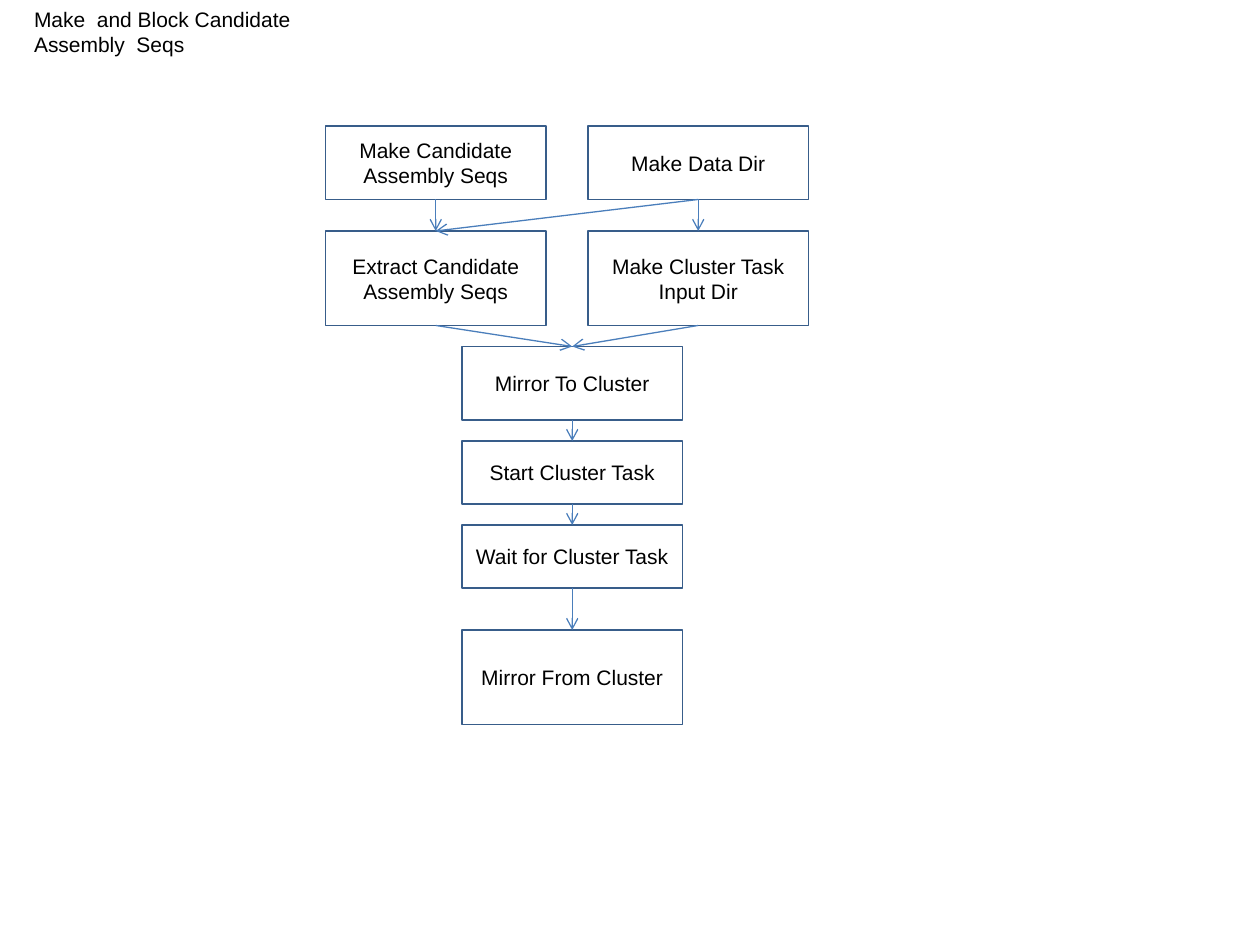
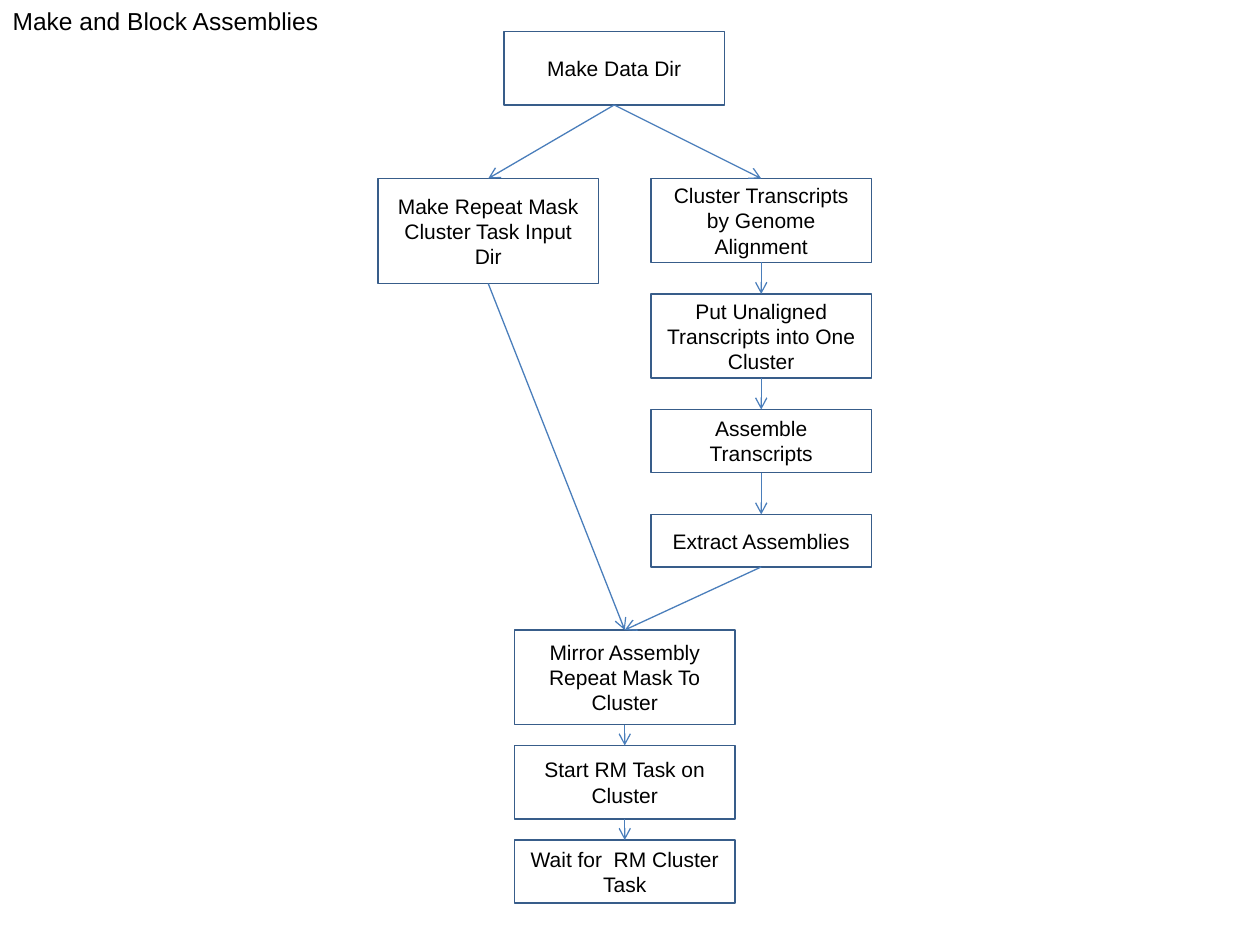
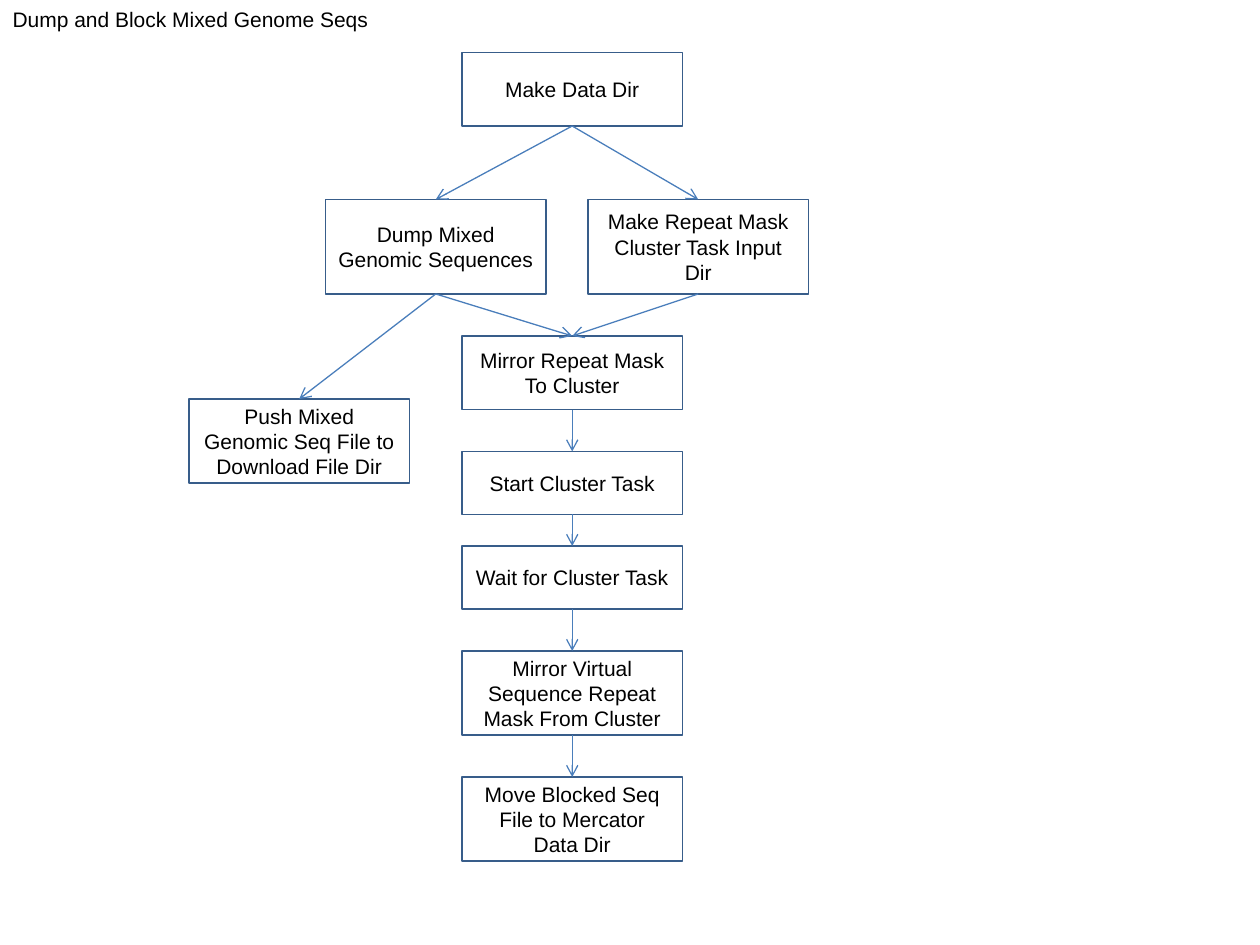
from dataclasses import dataclass
from itertools import pairwise

from pptx import Presentation
from pptx import util as u
from pptx.dml import color
from pptx.enum import shapes, text
from pptx.oxml import ns, xmlchemy


@dataclass(frozen=True)
class Theme:
    font: str = "Arial"
    ink: color.RGBColor = color.RGBColor.from_string("000000")
    outline: color.RGBColor = color.RGBColor.from_string("385D8A")
    arrow: color.RGBColor = color.RGBColor.from_string("4A7EBB")
    step_size: int = 12
    outline_width: float = 1
    arrow_width: float = 0.75


THEME = Theme()
STEP_WIDTH = 21
BOTTOM, TOP = 2, 0


def grid(units):
    return u.Inches(units / 12)


def write(shape, words, size, align, anchor):
    frame = shape.text_frame
    frame.text = words
    frame.word_wrap = True
    frame.vertical_anchor = anchor
    frame.margin_left = frame.margin_right = u.Inches(0.1)
    frame.margin_top = frame.margin_bottom = u.Inches(0.05)
    para = frame.paragraphs[0]
    para.alignment = align
    para.font.name = THEME.font
    para.font.size = u.Pt(size)
    para.font.color.rgb = THEME.ink


def add_title(page, words, box, size):
    title = page.shapes.title
    title.left, title.top, title.width, title.height = map(u.Inches, box)
    write(title, words, size, text.PP_ALIGN.LEFT, text.MSO_ANCHOR.TOP)
    title.text_frame.auto_size = text.MSO_AUTO_SIZE.SHAPE_TO_FIT_TEXT


def add_step(page, words, left, top, height):
    step = page.shapes.add_shape(
        shapes.MSO_SHAPE.RECTANGLE,
        grid(left), grid(top), grid(STEP_WIDTH), grid(height))
    step.shadow.inherit = False
    step.fill.background()
    step.line.color.rgb = THEME.outline
    step.line.width = u.Pt(THEME.outline_width)
    write(step, words, THEME.step_size, text.PP_ALIGN.CENTER, text.MSO_ANCHOR.MIDDLE)
    return step


def add_arrow(page, start, end):
    arrow = page.shapes.add_connector(shapes.MSO_CONNECTOR.STRAIGHT, 0, 0, 0, 0)
    arrow.begin_connect(start, BOTTOM)
    arrow.end_connect(end, TOP)
    arrow.line.color.rgb = THEME.arrow
    arrow.line.width = u.Pt(THEME.arrow_width)
    head = xmlchemy.OxmlElement("a:tailEnd")
    head.set("type", "arrow")
    properties = arrow._element.spPr
    properties.find(ns.qn("a:ln")).append(head)
    properties.append(xmlchemy.OxmlElement("a:effectLst"))


def add_flow(page, origin, steps, chains):
    left, top = origin
    drawn = {
        name: add_step(page, words, left + across, top + down, height)
        for name, (words, across, down, height) in steps.items()
    }
    for chain in chains:
        for start, end in pairwise(chain.split()):
            add_arrow(page, drawn[start], drawn[end])


def add_flow_page(deck, title, title_box, title_size, origin, steps, chains):
    page = deck.slides.add_slide(deck.slide_layouts.get_by_name("Title Only"))
    add_title(page, title, title_box, title_size)
    add_flow(page, origin, steps, chains)


FLOWS = [
    dict(
        title="Make  and Block Candidate Assembly  Seqs",
        title_box=(0.17, 0, 2.25, 0.5),
        title_size=12,
        origin=(31, 12),
        steps={
            "candidates": ("Make Candidate Assembly Seqs", 0, 0, 7),
            "data": ("Make Data Dir", 25, 0, 7),
            "extract": ("Extract Candidate Assembly Seqs", 0, 10, 9),
            "input": ("Make Cluster Task Input Dir", 25, 10, 9),
            "mirror": ("Mirror To Cluster", 13, 21, 7),
            "start": ("Start Cluster Task", 13, 30, 6),
            "wait": ("Wait for Cluster Task", 13, 38, 6),
            "return": ("Mirror From Cluster", 13, 48, 9),
        },
        chains=[
            "candidates extract mirror start wait return",
            "data extract",
            "data input mirror",
        ],
    ),
    dict(
        title="Make and Block Assemblies",
        title_box=(0, 0, 3.25, 0.34),
        title_size=14,
        origin=(36, 3),
        steps={
            "data": ("Make Data Dir", 12, 0, 7),
            "input": ("Make Repeat Mask Cluster Task Input Dir", 0, 14, 10),
            "align": ("Cluster Transcripts by Genome Alignment", 26, 14, 8),
            "unaligned": ("Put Unaligned Transcripts into One Cluster", 26, 25, 8),
            "assemble": ("Assemble Transcripts", 26, 36, 6),
            "extract": ("Extract Assemblies", 26, 46, 5),
            "mirror": ("Mirror Assembly Repeat Mask To Cluster", 13, 57, 9),
            "start": ("Start RM Task on Cluster", 13, 68, 7),
            "wait": ("Wait for  RM Cluster Task", 13, 77, 6),
        },
        chains=[
            "data input mirror start wait",
            "data align unaligned assemble extract mirror",
        ],
    ),
    dict(
        title="Dump and Block Mixed Genome Seqs",
        title_box=(0, 0, 3.5, 0.3),
        title_size=12,
        origin=(18, 5),
        steps={
            "data": ("Make Data Dir", 26, 0, 7),
            "dump": ("Dump Mixed Genomic Sequences", 13, 14, 9),
            "input": ("Make Repeat Mask Cluster Task Input Dir", 38, 14, 9),
            "mirror": ("Mirror Repeat Mask To Cluster", 26, 27, 7),
            "push": ("Push Mixed Genomic Seq File to Download File Dir", 0, 33, 8),
            "start": ("Start Cluster Task", 26, 38, 6),
            "wait": ("Wait for Cluster Task", 26, 47, 6),
            "return": ("Mirror Virtual Sequence Repeat Mask From Cluster", 26, 57, 8),
            "move": ("Move Blocked Seq File to Mercator Data Dir", 26, 69, 8),
        },
        chains=[
            "data dump mirror start wait return move",
            "data input mirror",
            "dump push",
        ],
    ),
]


def main():
    deck = Presentation()
    deck.slide_width = u.Inches(10)
    deck.slide_height = u.Inches(7.5)
    for flow in FLOWS:
        add_flow_page(deck, **flow)
    deck.save("out.pptx")


if __name__ == "__main__":
    main()
